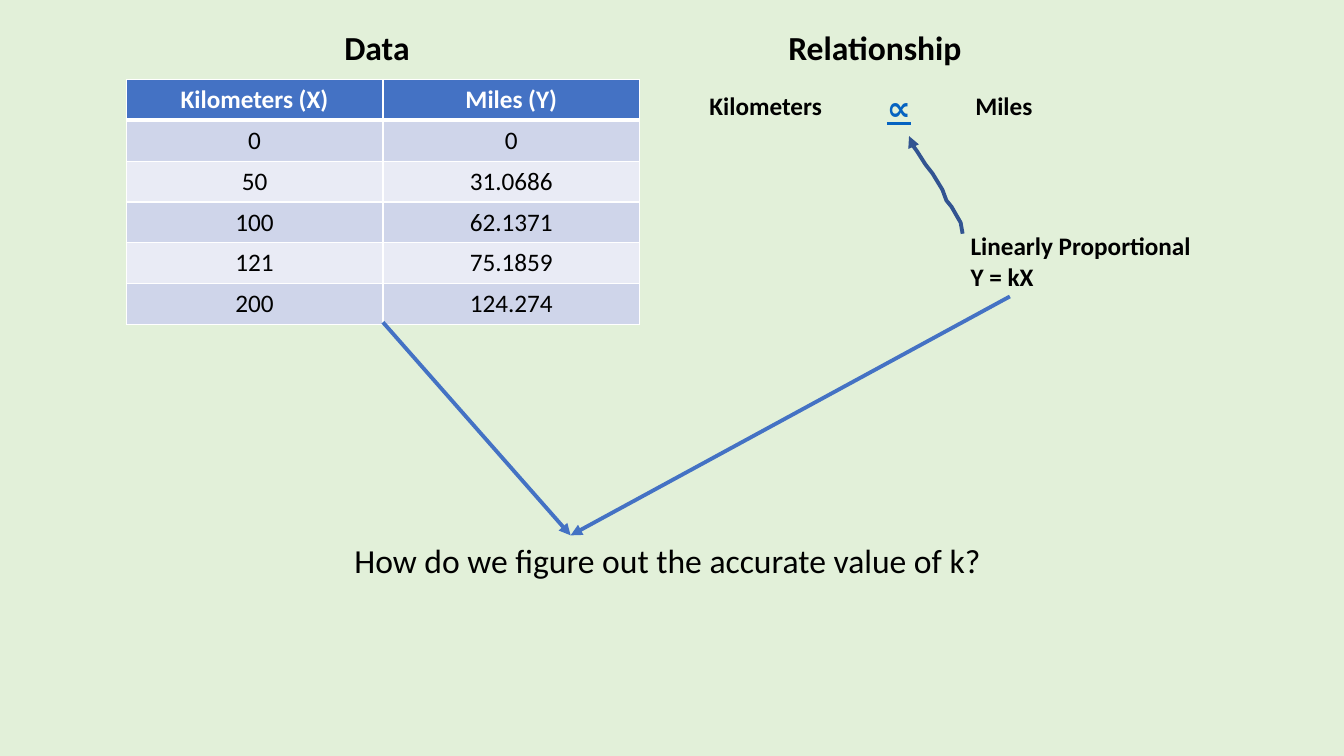
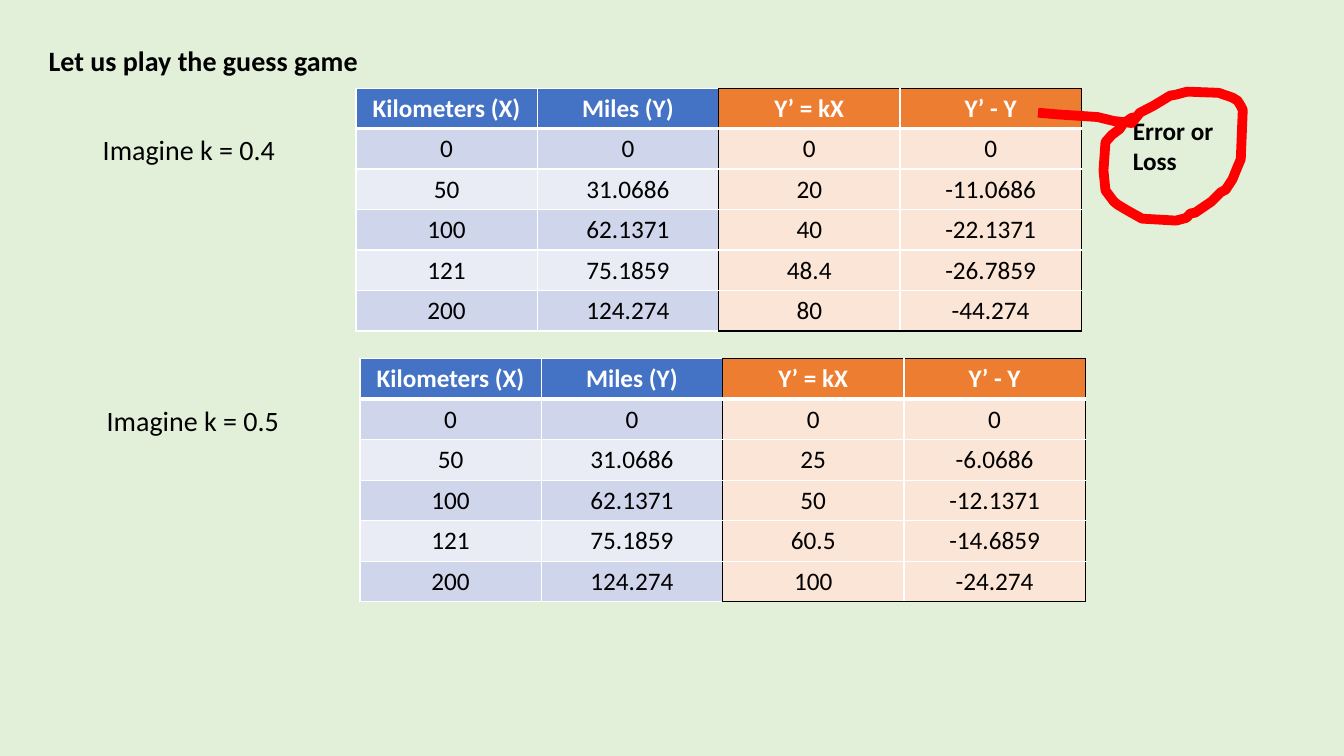
"""Build two slides that guess the factor between kilometers and miles."""
from lxml import etree
from pptx import Presentation
from pptx.dml.color import RGBColor
from pptx.enum.shapes import MSO_CONNECTOR
from pptx.enum.text import MSO_ANCHOR, MSO_AUTO_SIZE, PP_ALIGN
from pptx.oxml.ns import qn
from pptx.util import Cm, Pt

STRAIGHT = MSO_CONNECTOR.STRAIGHT
TOP = MSO_ANCHOR.TOP
FIT, FIXED = MSO_AUTO_SIZE.SHAPE_TO_FIT_TEXT, MSO_AUTO_SIZE.NONE
LEFT, MID = PP_ALIGN.LEFT, PP_ALIGN.CENTER

FONT = "Calibri"
HUES = {
    "page": "E2F0D9", "text": "000000", "white": "FFFFFF", "link": "0563C1",
    "blue": "4472C4", "navy": "325491", "dark": "CFD5EA", "light": "E9EBF5",
    "orange": "ED7D31", "peach": "FBE5D6", "red": "FF0000",
}
ROW = 1.02

HEADS = ["Kilometers (X)", "Miles (Y)"]
GUESS = ["Y’ = kX", "Y’ - Y"]
PAIRS = [(0, 0), (50, 31.0686), (100, 62.1371), (121, 75.1859), (200, 124.274)]

TITLE = "Let us play the guess game"
TRIALS = [(0.4, 8.97, 2.22), (0.5, 9.07, 9.04)]
WIDE = [
    ("Data", 5.79, 0.56, 7.42, 24, True),
    ("Relationship", 18.34, 0.56, 7.42, 24, True),
    ("How do we figure out the accurate value of k?", 6.27, 13.49, 21.11, 24, False),
]
TIGHT = [
    ("Kilometers", 17.63, 2.16, 3.35, 18, "text"),
    ("Miles", 24.33, 2.16, 1.96, 18, "text"),
    ("∝", 22.1, 2.06, 1.12, 24, "link"),
    ("Linearly Proportional\nY = kX", 24.21, 5.69, 6.1, 18, "text"),
]
GOAL = (14.38, 13.49)
CURVE = [
    (24.26, 5.89), (24.21, 5.61), (23.98, 5.21), (23.85, 5.05), (23.75, 4.78),
    (23.5, 4.37), (23.42, 4.27), (23.32, 4.14), (23.11, 3.81), (22.94, 3.58),
    (22.91, 3.43),
]
LOOP = [
    (26.16, 2.84), (26.6, 2.88), (27.66, 2.95), (28.07, 3.05), (28.52, 3.1),
    (28.73, 2.84), (29.06, 2.67), (29.36, 2.49), (29.49, 2.41), (29.62, 2.39),
    (29.92, 2.31), (30.71, 2.34), (31.06, 2.46), (31.19, 2.54), (31.27, 2.67),
    (31.32, 2.77), (31.27, 4.01), (31.12, 4.37), (31.06, 4.52), (30.89, 4.78),
    (30.76, 4.85), (30.53, 5.08), (30.12, 5.36), (30, 5.38), (29.9, 5.49),
    (29.64, 5.56), (28.78, 5.51), (28.42, 5.31), (28.17, 5.16), (28.07, 5.08),
    (27.86, 4.8), (27.81, 4.3), (27.86, 3.58), (28.02, 3.4), (28.22, 3.25),
    (28.3, 3.12), (28.52, 2.97), (28.65, 2.95),
]


def rgb(hue):
    """Return the named colour."""
    return RGBColor.from_string(HUES[hue])


def style(para, size, bold, hue="text", align=LEFT):
    """Set the look of one paragraph."""
    para.alignment = align
    font = para.font
    font.name, font.size, font.bold = FONT, Pt(size), bold
    font.color.rgb = rgb(hue)


def label(slide, text, x, y, w, size, bold, hue="text", align=LEFT, wrap=True):
    """Add a text box and return it."""
    lines = text.split("\n")
    high = size * 0.043 * len(lines) + 0.25
    box = slide.shapes.add_textbox(Cm(x), Cm(y), Cm(w), Cm(high))
    frame = box.text_frame
    frame.text = text
    frame.word_wrap = wrap
    frame.auto_size = FIT
    for para in frame.paragraphs:
        style(para, size, bold, hue, align)
    return box


def stroke(shape, hue, width, arrow=False):
    """Draw the outline of a shape, with an arrowhead at its end if asked."""
    shape.line.color.rgb = rgb(hue)
    shape.line.width = Pt(width)
    if arrow:
        line = shape.line._get_or_add_ln()
        etree.SubElement(line, qn("a:tailEnd"), type="triangle")


def sketch(slide, points, hue, width, arrow=False):
    """Draw an open hand-made line through the points."""
    first, *rest = [(Cm(x), Cm(y)) for x, y in points]
    pen = slide.shapes.build_freeform(*first)
    pen.add_line_segments(rest, close=False)
    shape = pen.convert_to_shape()
    shape.shadow.inherit = False
    shape.fill.background()
    stroke(shape, hue, width, arrow)


def link(slide, start, end):
    """Add a straight arrow and return it."""
    ends = [Cm(v) for v in (*start, *end)]
    line = slide.shapes.add_connector(STRAIGHT, *ends)
    stroke(line, "blue", 2.75, True)
    etree.SubElement(line._element.spPr, qn("a:effectLst"))
    return line


def edge(cell, sides):
    """Set the borders of a cell, given as (tag, hue, points)."""
    props = cell._tc.get_or_add_tcPr()
    for spot, (tag, hue, width) in enumerate(sides):
        line = etree.Element(qn("a:" + tag), w=str(Pt(width)))
        fill = etree.SubElement(line, qn("a:solidFill"))
        etree.SubElement(fill, qn("a:srgbClr"), val=HUES[hue])
        props.insert(spot, line)


def grid(slide, rows, x, y, col):
    """Add a table whose columns after the second form an outlined block."""
    wide, last = len(rows[0]), len(rows) - 1
    frame = slide.shapes.add_table(
        len(rows), wide, Cm(x), Cm(y), Cm(col * wide), Cm(ROW * len(rows)))
    table = frame.table
    table.horz_banding = False
    for r, row in enumerate(rows):
        table.rows[r].height = Cm(ROW)
        for c, text in enumerate(row):
            cell = table.cell(r, c)
            cell.text = text
            head, extra = r == 0, c > 1
            style(cell.text_frame.paragraphs[0], 18, head,
                  "white" if head else "text", MID)
            if head:
                hue = "orange" if extra else "blue"
            else:
                hue = "peach" if extra else ("dark" if r % 2 else "light")
            cell.fill.solid()
            cell.fill.fore_color.rgb = rgb(hue)
            black = {
                "lnL": c == 2,
                "lnR": wide > 2 and c in (1, wide - 1),
                "lnT": extra and head,
                "lnB": extra and r == last,
            }
            thick = {"lnB": head, "lnT": r == 1}
            edge(cell, [(tag, "text" if dark else "white",
                         3 if thick.get(tag) else 1)
                        for tag, dark in black.items()])
    for column in table.columns:
        column.width = Cm(col)
    return frame


def data(slide):
    """Fill the slide with the data and the relationship."""
    table = grid(slide, [HEADS] + [[f"{v:g}" for v in pair] for pair in PAIRS],
                 3.18, 2, 6.47)
    for text, x, y, w, size, bold in WIDE:
        label(slide, text, x, y, w, size, bold, align=MID)
    for text, x, y, w, size, hue in TIGHT:
        box = label(slide, text, x, y, w, size, True, hue, wrap=False)
        box.text_frame.paragraphs[0].font.underline = hue == "link"
    sketch(slide, CURVE, "navy", 2.75, True)
    link(slide, (9.65, 8.12), GOAL).begin_connect(table, 2)
    link(slide, (25.45, 7.47), GOAL)


def game(slide):
    """Fill the slide with one table per guessed factor."""
    title = slide.shapes.title
    title.left, title.top, title.width, title.height = (
        Cm(v) for v in (0.97, 0.97, 16.38, 1.12))
    frame = title.text_frame
    frame.text = TITLE
    frame.auto_size, frame.vertical_anchor = FIXED, TOP
    style(frame.paragraphs[0], 20, True)
    for k, x, y in TRIALS:
        label(slide, f"Imagine k = {k}", x - 6.63, y + 1, 8.03, 20, False)
        rows = [[f"{v:g}" for v in (km, mi, k * km, k * km - mi)]
                for km, mi in PAIRS]
        grid(slide, [HEADS + GUESS] + rows, x, y, 4.57)
    label(slide, "Error or Loss", 28.3, 2.77, 3.33, 18, True)
    sketch(slide, LOOP, "red", 7)


def main():
    """Build and save the deck."""
    deck = Presentation()
    deck.slide_width, deck.slide_height = Cm(33.87), Cm(19.05)
    back = deck.slide_master.background.fill
    back.solid()
    back.fore_color.rgb = rgb("page")
    plain = deck.slide_layouts.get_by_name("Blank")
    titled = deck.slide_layouts.get_by_name("Title Only")
    data(deck.slides.add_slide(plain))
    game(deck.slides.add_slide(titled))
    deck.save("out.pptx")


if __name__ == "__main__":
    main()
